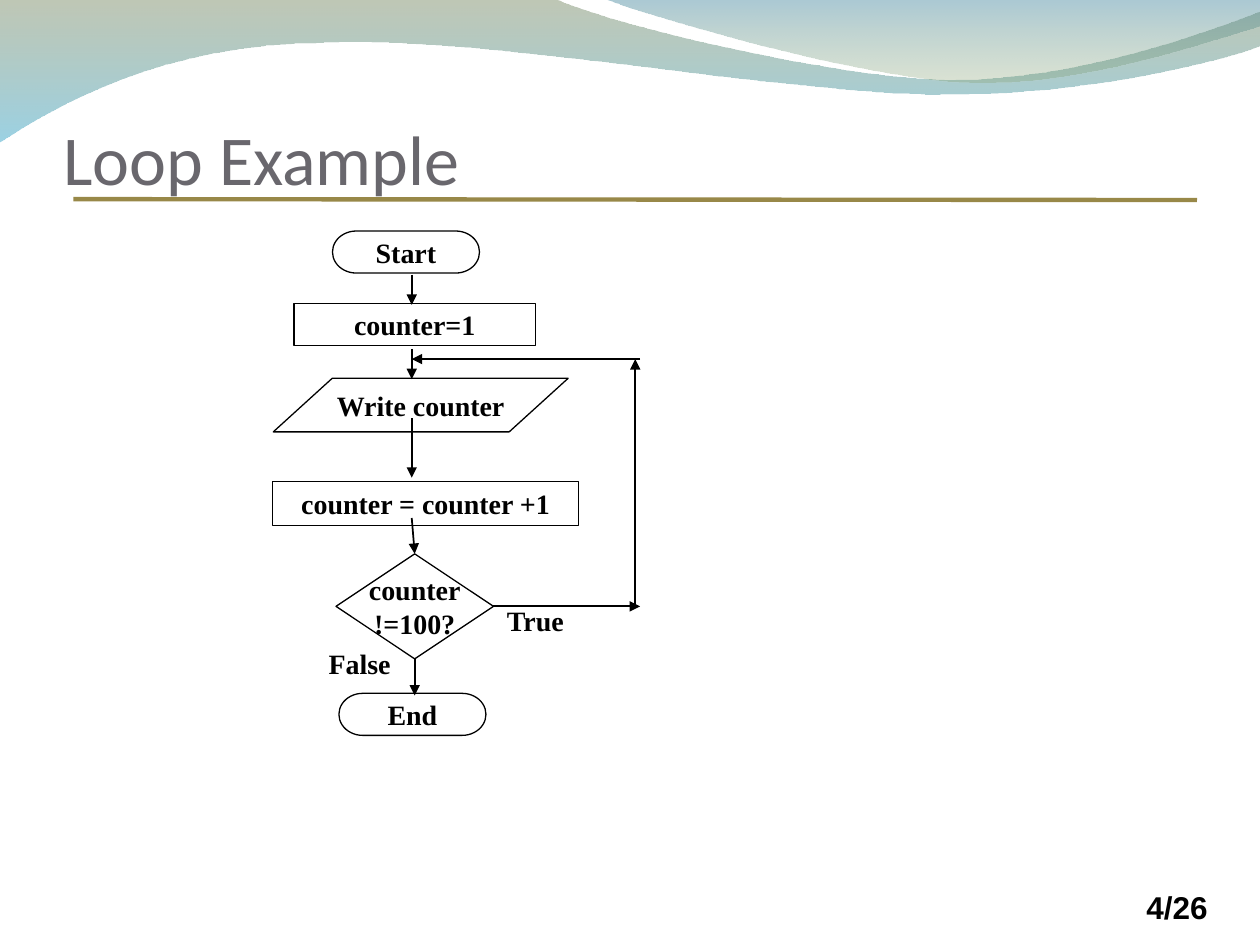
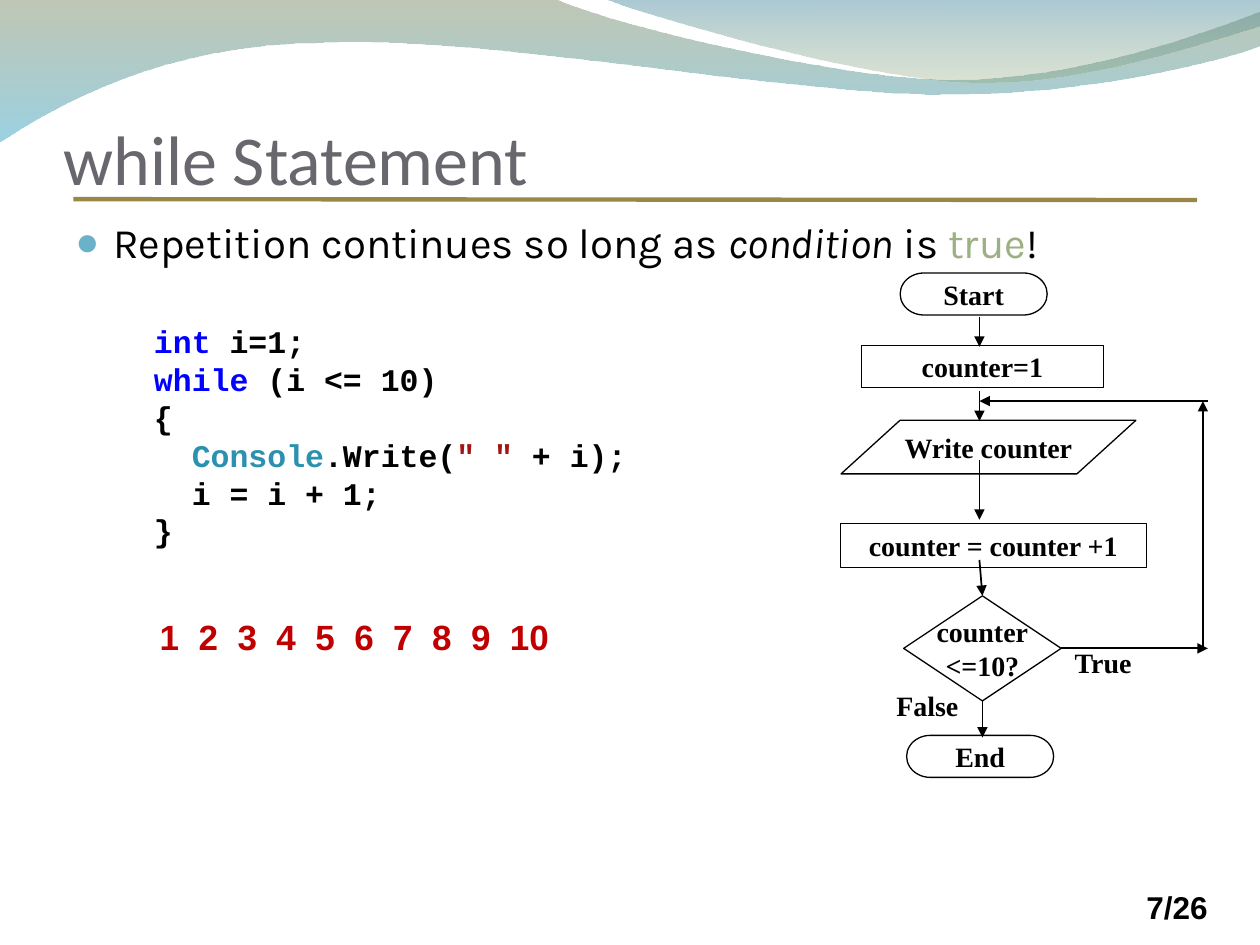
from lxml import etree
from pptx import Presentation
from pptx.dml.color import RGBColor
from pptx.enum.shapes import MSO_CONNECTOR, MSO_SHAPE as SHAPE
from pptx.enum.text import MSO_ANCHOR as ANCHOR, PP_ALIGN as ALIGN
from pptx.oxml.ns import qn
from pptx.util import Pt

BLACK = RGBColor(0x00, 0x00, 0x00)
TITLE = RGBColor(0x69, 0x67, 0x6D)
RULE = RGBColor(0x98, 0x88, 0x48)
OLIVE = RGBColor(0x72, 0x84, 0x5C)
CYAN = RGBColor(0x49, 0xAC, 0xCD)
TEAL = RGBColor(0x42, 0x86, 0x9E)
GREEN = RGBColor(0x8A, 0xA2, 0x6C)
BULLET = RGBColor(0x6B, 0xB1, 0xC9)
TRUE_GREEN = RGBColor(0x9C, 0xB0, 0x84)
KEYWORD = RGBColor(0x00, 0x00, 0xFF)
CLASS = RGBColor(0x2B, 0x91, 0xAF)
STRING = RGBColor(0xA3, 0x15, 0x15)
RED = RGBColor(0xC0, 0x00, 0x00)

# Content: a paragraph is a list of runs (text, colour or None, italic)
STATEMENT = [("Repetition continues so long as ",), ("condition", None, True), (" is ",),
             ("true", TRUE_GREEN), ("!",)]
CODE = [
    [("int", KEYWORD), (" i=1;",)],
    [("while", KEYWORD), (" (i <= 10)",)],
    [("{",)],
    [("  ",), ("Console", CLASS), (".Write(",), ('" "', STRING), (" + i);",)],
    [("  i = i + 1;",)],
    [("}",)],
]
OUTPUT = [str(n) for n in range(1, 11)]

# Flowchart: kind, lines of text, box; {test} is the loop condition
NODES = {
    "start": (SHAPE.FLOWCHART_TERMINATOR, ["Start"], (190, 132, 84, 24)),
    "init": (SHAPE.FLOWCHART_PROCESS, ["counter=1"], (168, 173.5, 138, 24)),
    "step": (SHAPE.FLOWCHART_PROCESS, ["counter = counter +1"], (155.8, 275, 174.8, 25.2)),
    "test": (SHAPE.FLOWCHART_DECISION, ["counter", "{test}"], (192, 316.5, 90, 60)),
    "end": (SHAPE.FLOWCHART_TERMINATOR, ["End"], (193.7, 396.2, 84, 24)),
    "write": (SHAPE.FLOWCHART_DATA, ["Write counter"], (156.2, 216.2, 168.5, 30.6)),
}
BRANCHES = [("True", 282.6, 341.3), ("False", 180.7, 365.8)]
AXIS, LOOP_X, LOOP_END = 235.3, 363, 365.8
LOOP_TOP, LOOP_BOTTOM = 205.2, 346.5
ARROWS = [
    (AXIS, 157, AXIS, 174.2),
    (AXIS, 199.4, AXIS, 216.6),
    (AXIS, 239, AXIS, 273),
    (LOOP_END, LOOP_TOP, AXIS, LOOP_TOP),
    (LOOP_X, LOOP_BOTTOM, LOOP_X, LOOP_TOP),
]
ENTRY = (AXIS, 296, 237, 316.5)
FALSE_EXIT = (237, 376.5, 237, 397.4)
TRUE_EXIT = (282, LOOP_BOTTOM, LOOP_END, LOOP_BOTTOM)

# Waves: start, segments (one point is a line, three a curve), (colour, alpha) stops
WAVES = [
    ((0, -0.7), [
        [(317, -0.7)],
        [(342.7, 12.2), (478, 45.4), (545.8, 45.4)],
        [(614.2, 45.4), (689.8, 18.7), (720, 6.5)],
        [(720.7, 26)],
        [(707.8, 31.7), (626.4, 54.7), (537, 54)],
        [(447.8, 54), (275, 20.2), (185, 24.5)],
        [(93, 25.2), (33, 59.8), (-0.7, 81.4)],
    ], [(OLIVE, 45), (CYAN, 55)]),
    ((345, -0.7), [
        [(366.5, 8), (491, 44.6), (553.7, 46.8)],
        [(616.3, 49.7), (692, 23), (720, 15)],
        [(720, 0)],
    ], [(TEAL, 45), (GREEN, 30)]),
]


def pts(values):
    return [Pt(v) for v in values]


def sub(parent, tag, **attrs):
    return etree.SubElement(parent, qn(tag), attrs)


def write(tf, paras, font, size, color=BLACK, bold=False, align=ALIGN.LEFT,
          anchor=ANCHOR.TOP, wrap=True, insets=(7.2, 3.6, 7.2, 3.6)):
    tf.word_wrap, tf.vertical_anchor = wrap, anchor
    tf.margin_left, tf.margin_top, tf.margin_right, tf.margin_bottom = pts(insets)
    for i, runs in enumerate(paras):
        p = tf.add_paragraph() if i else tf.paragraphs[0]
        p.alignment = align
        p.font.name, p.font.size, p.font.bold = font, Pt(size), bold
        p.font.color.rgb = color
        for text, run_color, italic in (run + (None, None)[len(run) - 1:] for run in runs):
            r = p.add_run()
            r.text = text
            if run_color is not None:
                r.font.color.rgb = run_color
            if italic:
                r.font.italic = True


def text_box(s, box):
    return s.shapes.add_textbox(*pts(box)).text_frame


def line(s, ends, color=BLACK, width=1, arrow=True):
    c = s.shapes.add_connector(MSO_CONNECTOR.STRAIGHT, *pts(ends))
    c.line.color.rgb, c.line.width = color, Pt(width)
    if arrow:
        sub(c.line._get_or_add_ln(), "a:tailEnd", type="triangle")
    sub(c._element.spPr, "a:effectLst")
    return c


def wave(s, start, segments, stops):
    fb = s.shapes.build_freeform(*pts(start), scale=1.0)
    fb.add_line_segments([pts(xy) for seg in segments for xy in seg], close=True)
    sp = fb.convert_to_shape()
    # Join each three points of a curve into one Bezier segment
    steps = iter(list(sp._element.spPr.iter(qn("a:lnTo"))))
    for seg in segments:
        first, *rest = [next(steps) for _ in seg]
        if rest:
            first.tag = qn("a:cubicBezTo")
        for step in rest:
            first.append(step[0])
            step.getparent().remove(step)
    sp.shadow.inherit = False
    sp.line.fill.background()
    sp.fill.gradient()
    sp.fill.gradient_angle = 270
    for stop, (color, alpha) in zip(sp.fill.gradient_stops, stops):
        stop.color.rgb = color
    for clr, (color, alpha) in zip(sp._element.spPr.iter(qn("a:srgbClr")), stops):
        sub(clr, "a:alpha", val=str(alpha * 1000))


def base_slide(prs, title, page):
    s = prs.slides.add_slide(prs.slide_layouts[6])
    for parts in WAVES:
        wave(s, *parts)
    line(s, (42, 113.8, 684, 114.3), RULE, 2.5, arrow=False)
    write(text_box(s, (648, 504, 66, 29)), [[(page,)]], "Arial", 18, bold=True)
    write(text_box(s, (36.3, 24, 648, 90)), [[(title,)]], "Calibri", 40, TITLE,
          anchor=ANCHOR.BOTTOM, insets=(0, 3.6, 0, 0))
    return s


def flowchart(s, test, dx=0, dy=0):
    label = dict(font="Times New Roman", size=16, bold=True)

    def arrow(ends):
        x1, y1, x2, y2 = ends
        return line(s, (x1 + dx, y1 + dy, x2 + dx, y2 + dy))

    # Nodes
    shapes = {}
    for name, (kind, lines, (x, y, w, h)) in NODES.items():
        sp = shapes[name] = s.shapes.add_shape(kind, *pts((x + dx, y + dy, w, h)))
        sp.shadow.inherit = False
        sp.fill.background()
        sp.line.color.rgb, sp.line.width = BLACK, Pt(0.75)
        write(sp.text_frame, [[(text.format(test=test),)] for text in lines],
              align=ALIGN.CENTER, anchor=ANCHOR.MIDDLE, wrap=False, **label)
    # Branch labels
    for text, x, y in BRANCHES:
        write(text_box(s, (x + dx, y + dy, 66, 26.6)), [[(text,)]], **label)
    # Arrows
    for ends in ARROWS:
        arrow(ends)
    arrow(ENTRY).end_connect(shapes["test"], 0)
    arrow(FALSE_EXIT).begin_connect(shapes["test"], 2)
    arrow(TRUE_EXIT).begin_connect(shapes["test"], 3)


def bullet_statement(s):
    tf = text_box(s, (36, 120.2, 648, 36))
    pPr = tf.paragraphs[0]._p.get_or_add_pPr()
    pPr.set("marL", str(Pt(21.6)))
    pPr.set("indent", str(-Pt(21.6)))
    sub(sub(pPr, "a:buClr"), "a:srgbClr", val=str(BULLET))
    sub(pPr, "a:buSzPct", val="95000")
    sub(pPr, "a:buFont", typeface="Arial")
    sub(pPr, "a:buChar", char="●")
    write(tf, [STATEMENT], "Karla", 24)


def output_row(s, pitch=22.24):
    tf = text_box(s, (84.2, 347.8, 275.8, 31.7))
    tabs = sub(tf.paragraphs[0]._p.get_or_add_pPr(), "a:tabLst")
    for i in range(1, len(OUTPUT)):
        sub(tabs, "a:tab", pos=str(Pt(i * pitch)), algn="l")
    write(tf, [[("\t".join(OUTPUT),)]], "Arial", 20, RED, bold=True, anchor=ANCHOR.MIDDLE)


def main():
    prs = Presentation()
    prs.slide_width, prs.slide_height = Pt(720), Pt(540)

    # Loop example
    s = base_slide(prs, "Loop Example", "4/26")
    flowchart(s, "!=100?")

    # while statement
    s = base_slide(prs, "while Statement", "7/26")
    bullet_statement(s)
    flowchart(s, "<=10?", dx=324.4, dy=24)
    write(text_box(s, (80.9, 180.7, 284.4, 136.8)), CODE, "Courier New", 18, bold=True,
          anchor=ANCHOR.MIDDLE, wrap=False)
    output_row(s)

    prs.save("out.pptx")


if __name__ == "__main__":
    main()
